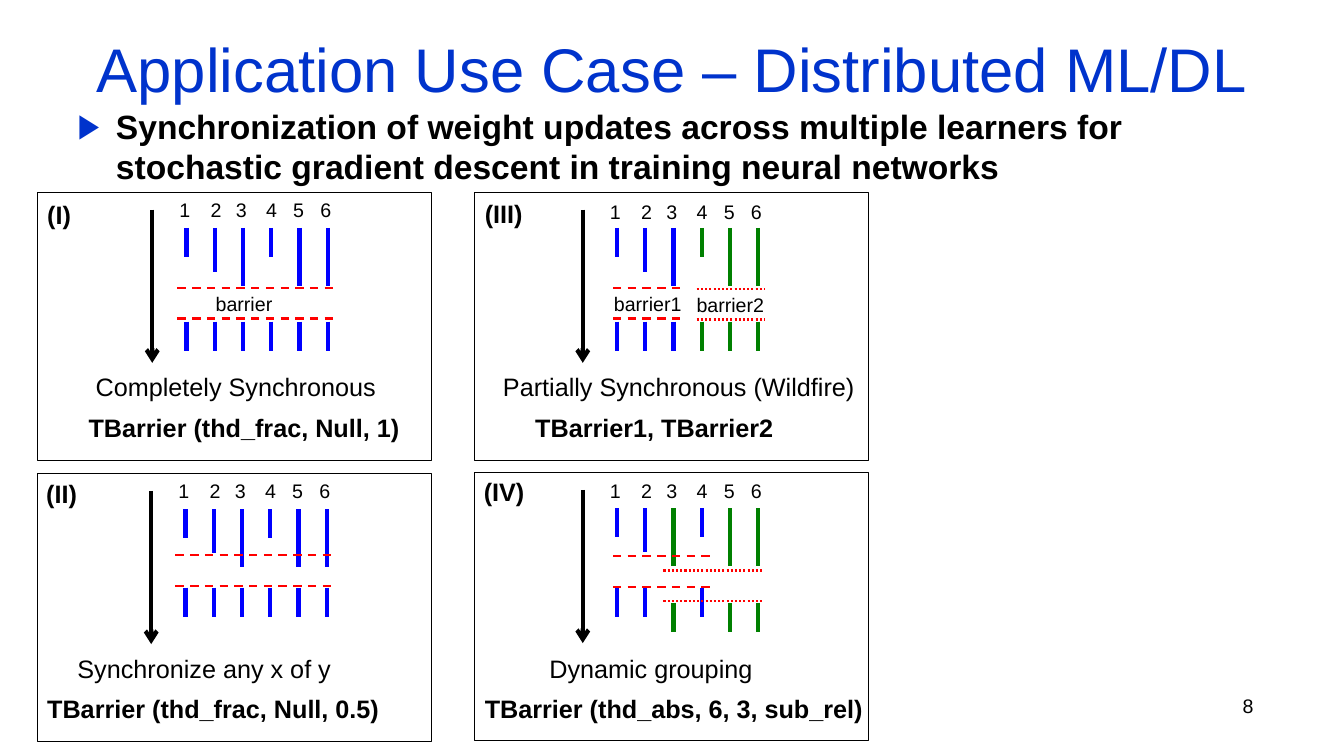
from dataclasses import dataclass
from lxml.etree import SubElement
from pptx import Presentation
from pptx.dml.color import RGBColor
from pptx.enum.dml import MSO_LINE
from pptx.enum.shapes import MSO_CONNECTOR, MSO_SHAPE
from pptx.enum.text import MSO_ANCHOR, MSO_AUTO_SIZE, PP_ALIGN
from pptx.oxml.ns import qn
from pptx.shapes.shapetree import GroupShapes
from pptx.text.text import TextFrame
from pptx.util import Inches, Pt

BLACK, BLUE, GREEN, RED, TITLE = "000000", "0000FF", "008000", "FF0000", "0033CC"
DASH, DOT = MSO_LINE.DASH, MSO_LINE.ROUND_DOT
STEP = 0.28
SPANS = (0.29, 0.44, 0.58, 0.29, 0.58, 0.58)
DIGITS = (0, 0.31, 0.56, 0.86, 1.13, 1.4)


@dataclass
class Text:
    words: str
    left: float
    top: float
    width: float
    size: int = 18
    bold: bool = False


@dataclass
class Fence:
    start: float
    end: float
    top: float
    style: MSO_LINE = DASH


@dataclass
class Panel:
    left: float
    top: float
    first: float
    colors: tuple[str, ...]
    lower: tuple[float, ...]
    fences: tuple[Fence, ...]
    texts: tuple[Text, ...]
    digit: float = 0


def color(code: str) -> RGBColor:
    return RGBColor.from_string(code)


def style(frame: TextFrame, size: int, code: str = BLACK, bold: bool = False) -> None:
    for para in frame.paragraphs:
        for run in para.runs:
            run.font.name = "Arial"
            run.font.size = Pt(size)
            run.font.bold = bold
            run.font.color.rgb = color(code)


def write(shapes: GroupShapes, item: Text, x: float, y: float) -> None:
    height = 0.4 if item.size == 18 else 0.34
    box = shapes.add_textbox(Inches(x + item.left), Inches(y + item.top),
                             Inches(item.width), Inches(height))
    frame = box.text_frame
    frame.text = item.words
    frame.word_wrap = False
    frame.auto_size = MSO_AUTO_SIZE.SHAPE_TO_FIT_TEXT
    style(frame, item.size, bold=item.bold)


def draw(shapes: GroupShapes, x1: float, y1: float, x2: float, y2: float, code: str,
         width: float = 3, dash: MSO_LINE | None = None, arrow: bool = False) -> None:
    link = shapes.add_connector(MSO_CONNECTOR.STRAIGHT, Inches(x1), Inches(y1),
                                Inches(x2), Inches(y2))
    link.line.color.rgb = color(code)
    link.line.width = Pt(width)
    if dash:
        link.line.dash_style = dash
    if arrow:
        SubElement(link.line._get_or_add_ln(), qn("a:tailEnd"), type="arrow")
    SubElement(link._element.spPr, qn("a:effectLst"))


def build(shapes: GroupShapes, panel: Panel) -> None:
    x, y = panel.left, panel.top
    frame = shapes.add_shape(MSO_SHAPE.RECTANGLE, Inches(x), Inches(y),
                             Inches(3.91), Inches(2.66))
    frame.shadow.inherit = False
    frame.fill.background()
    frame.line.color.rgb = color(BLACK)
    frame.line.width = Pt(0.5)

    first = x + panel.first
    draw(shapes, first - 0.34, y + 0.17, first - 0.34, y + 1.69, BLACK, arrow=True)
    rows = zip(panel.colors, SPANS, panel.lower, DIGITS)
    for i, (code, span, low, shift) in enumerate(rows):
        spot = first + i * STEP
        draw(shapes, spot, y + low, spot, y + low + 0.29, code)
        draw(shapes, spot, y + 0.35, spot, y + 0.35 + span, code)
        write(shapes, Text(str(i + 1), shift - 0.17, panel.digit, 0.31, 14), first, y)
    for fence in panel.fences:
        for top in (fence.top, fence.top + 0.3):
            draw(shapes, x + fence.start, y + top, x + fence.end, y + top,
                 RED, 1.5, fence.style)
    for item in panel.texts:
        write(shapes, item, x, y)


PANELS = (
    Panel(0.37, 4.7, 1.47, (BLUE,) * 6, (1.13,) * 6,
          (Fence(1.37, 2.95, 0.81),),
          (Text("(II)", -0.01, 0, 0.51, bold=True),
           Text("Synchronize any x of y", 0.3, 1.73, 2.74),
           Text("TBarrier (thd_frac, Null, 0.5)", 0, 2.13, 3.53, bold=True))),
    Panel(0.37, 1.91, 1.48, (BLUE,) * 6, (1.28,) * 6,
          (Fence(1.39, 2.97, 0.95),),
          (Text("(I)", 0, 0.02, 0.44, bold=True),
           Text("barrier", 1.67, 0.94, 0.78, 14),
           Text("Completely Synchronous", 0.48, 1.72, 3.01),
           Text("TBarrier (thd_frac, Null, 1)", 0.41, 2.13, 3.39, bold=True))),
    Panel(4.7, 4.69, 1.42, (BLUE, BLUE, GREEN, BLUE, GREEN, GREEN),
          (1.14, 1.14, 1.29, 1.14, 1.29, 1.29),
          (Fence(1.38, 2.4, 0.83), Fence(1.88, 2.88, 0.97, DOT)),
          (Text("(IV)", 0, -0.01, 0.61, bold=True),
           Text("Dynamic grouping", 0.65, 1.74, 2.32),
           Text("TBarrier (thd_abs, 6, 3, sub_rel)", 0.01, 2.14, 4.13, bold=True)),
          0.01),
    Panel(4.7, 1.91, 1.42, (BLUE,) * 3 + (GREEN,) * 3, (1.28,) * 6,
          (Fence(1.38, 2.06, 0.95), Fence(2.21, 2.89, 0.96, DOT)),
          (Text("(III)", 0.01, 0.01, 0.58, bold=True),
           Text("barrier1", 1.29, 0.94, 0.88, 14),
           Text("barrier2", 2.11, 0.95, 0.88, 14),
           Text("Partially Synchronous (Wildfire)", 0.19, 1.72, 3.72),
           Text("TBarrier1, TBarrier2", 0.51, 2.13, 2.59, bold=True)),
          0.02),
)

deck = Presentation()
deck.slide_width, deck.slide_height = Inches(13.33), Inches(7.5)
slide = deck.slides.add_slide(deck.slide_layouts[1])

title, body = slide.placeholders
title.left, title.top = Inches(0.67), Inches(0.17)
title.width, title.height = Inches(12), Inches(1)
title.text_frame.text = "Application Use Case – Distributed ML/DL"
title.text_frame.vertical_anchor = MSO_ANCHOR.MIDDLE
title.text_frame.auto_size = MSO_AUTO_SIZE.NONE
title.text_frame.paragraphs[0].alignment = PP_ALIGN.CENTER
style(title.text_frame, 44, TITLE)

body.left, body.top = Inches(0.67), Inches(1)
body.width, body.height = Inches(12), Inches(1.09)
body.text_frame.text = ("Synchronization of weight updates across multiple learners for "
                        "stochastic gradient descent in training neural networks")
body.text_frame.auto_size = MSO_AUTO_SIZE.NONE
style(body.text_frame, 24, bold=True)
props = body.text_frame.paragraphs[0]._p.get_or_add_pPr()
props.set("marL", str(Inches(0.38)))
props.set("indent", str(-Inches(0.38)))
tint = SubElement(props, qn("a:buClr"))
SubElement(tint, qn("a:srgbClr"), val=TITLE)
SubElement(props, qn("a:buFont"), typeface="Arial")
SubElement(props, qn("a:buChar"), char="▶")

page = slide.shapes.add_textbox(Inches(9.42), Inches(6.83), Inches(3.11), Inches(0.52))
page.text_frame.text = "8"
page.text_frame.word_wrap = True
page.text_frame.paragraphs[0].alignment = PP_ALIGN.RIGHT
style(page.text_frame, 14)

for panel in PANELS:
    build(slide.shapes.add_group_shape().shapes, panel)

deck.save("out.pptx")
